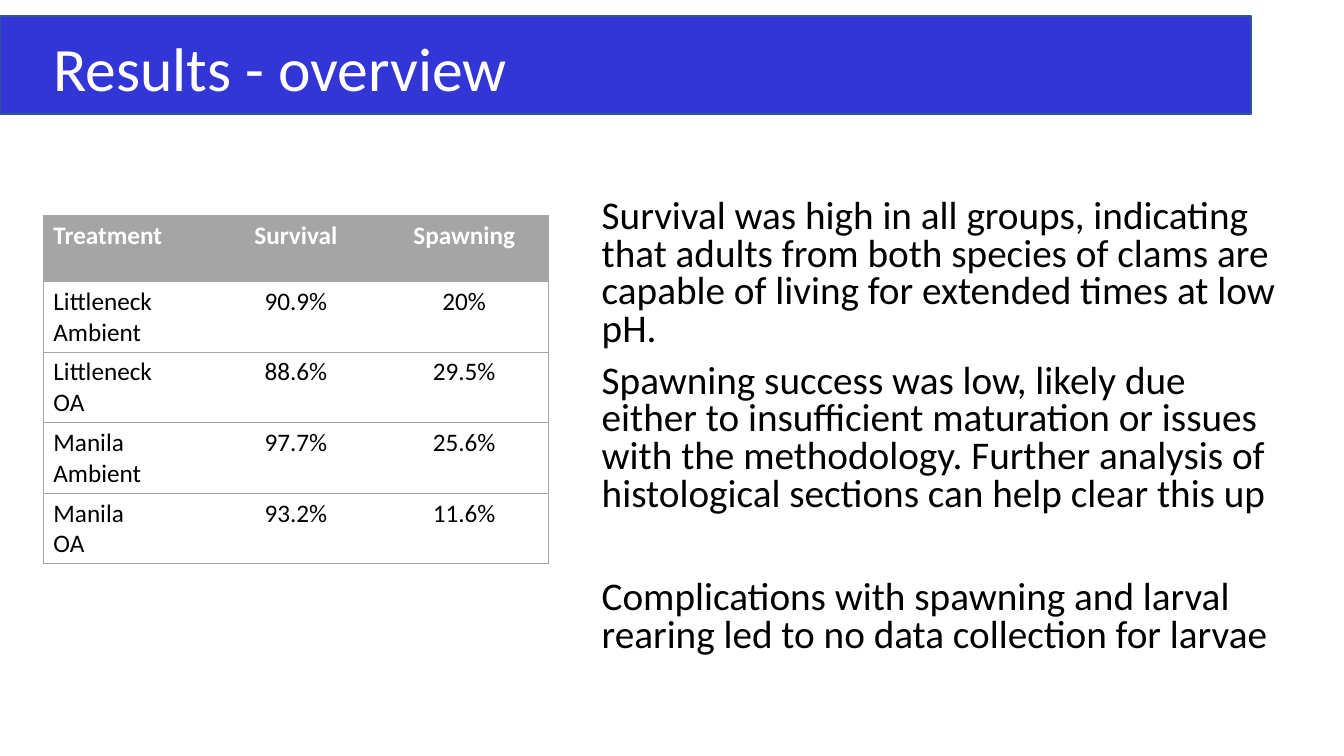
from lxml import etree
from pptx import Presentation
from pptx.dml.color import RGBColor
from pptx.enum.shapes import MSO_SHAPE
from pptx.enum.text import MSO_ANCHOR, PP_ALIGN
from pptx.oxml.ns import qn
from pptx.util import Inches, Pt

RECTANGLE = MSO_SHAPE.RECTANGLE
MIDDLE = MSO_ANCHOR.MIDDLE
LEFT, CENTER = PP_ALIGN.LEFT, PP_ALIGN.CENTER

FONT = "Calibri"
BLUE = RGBColor(0x32, 0x36, 0xD6)
BLUE_EDGE = RGBColor(0x32, 0x54, 0x91)
GRAY = RGBColor(0xA5, 0xA5, 0xA5)
BLACK = RGBColor(0, 0, 0)
WHITE = RGBColor(0xFF, 0xFF, 0xFF)

TITLE = "Results - overview"
# Each finding with the space before it, in points
FINDINGS = [
    ("Survival was high in all groups, indicating that adults from both species "
     "of clams are capable of living for extended times at low pH.", 0),
    ("Spawning success was low, likely due either to insufficient maturation or "
     "issues with the methodology. Further analysis of histological sections can "
     "help clear this up", 10),
    ("Complications with spawning and larval rearing led to no data collection "
     "for larvae", 47),
]
RESULTS = [
    ("Treatment", "Survival", "Spawning"),
    ("Littleneck\nAmbient", "90.9%", "20%"),
    ("Littleneck\nOA", "88.6%", "29.5%"),
    ("Manila\nAmbient", "97.7%", "25.6%"),
    ("Manila\nOA", "93.2%", "11.6%"),
]
COLUMN_WIDTH = 1.67
ROW_HEIGHT = 0.65


def style(para, size, color, bold=False):
    for span in para.runs:
        span.font.name = FONT
        span.font.size = Pt(size)
        span.font.color.rgb = color
        span.font.bold = bold


def add_text_box(page, left, top, width, height):
    box = page.shapes.add_textbox(
        Inches(left), Inches(top), Inches(width), Inches(height))
    box.text_frame.word_wrap = True
    return box.text_frame


def set_borders(cell, visible):
    """Draw the sides named in visible (L, R, T, B) and clear the others."""
    properties = cell._tc.get_or_add_tcPr()
    for position, side in enumerate("LRTB"):
        line = etree.Element(qn("a:ln" + side), w=str(Pt(0.5)))
        if side in visible:
            fill = etree.SubElement(line, qn("a:solidFill"))
            etree.SubElement(fill, qn("a:srgbClr"), val=str(GRAY))
        else:
            etree.SubElement(line, qn("a:noFill"))
        properties.insert(position, line)


def add_title(page):
    banner = page.shapes.add_shape(
        RECTANGLE, 0, Inches(0.16), Inches(12.41), Inches(0.97))
    banner.shadow.inherit = False
    banner.fill.solid()
    banner.fill.fore_color.rgb = BLUE
    banner.line.color.rgb = BLUE_EDGE
    banner.line.width = Pt(1)

    frame = add_text_box(page, 0.43, -0.02, 11.5, 1.45)
    frame.vertical_anchor = MIDDLE
    frame.text = TITLE
    frame.paragraphs[0].line_spacing = 0.9
    style(frame.paragraphs[0], 44, WHITE)


def add_findings(page):
    frame = add_text_box(page, 5.87, 1.93, 6.93, 4.76)
    frame.text = "\n".join(text for text, _ in FINDINGS)
    for para, (_, space) in zip(frame.paragraphs, FINDINGS):
        para.line_spacing = 0.8
        para.space_before = Pt(space)
        style(para, 28, BLACK)


def add_results(page):
    row_count, column_count = len(RESULTS), len(RESULTS[0])
    table = page.shapes.add_table(
        row_count, column_count, Inches(0.43), Inches(2.14),
        Inches(COLUMN_WIDTH * column_count), Inches(ROW_HEIGHT * row_count)).table
    table.horz_banding = False
    for row_index, row in enumerate(RESULTS):
        header = row_index == 0
        for column_index, text in enumerate(row):
            cell = table.cell(row_index, column_index)
            cell.text_frame.text = text
            for para in cell.text_frame.paragraphs:
                para.alignment = CENTER if column_index else LEFT
                style(para, 18, WHITE if header else BLACK, header)
            if header:
                cell.fill.solid()
                cell.fill.fore_color.rgb = GRAY
            else:
                cell.fill.background()
            outer = {0: "L", column_count - 1: "R"}.get(column_index, "")
            set_borders(cell, "TB" + outer)


def main():
    deck = Presentation()
    deck.slide_width, deck.slide_height = Inches(13.33), Inches(7.5)
    page = deck.slides.add_slide(deck.slide_layouts[6])
    add_findings(page)
    add_results(page)
    add_title(page)
    deck.save("out.pptx")


if __name__ == "__main__":
    main()
